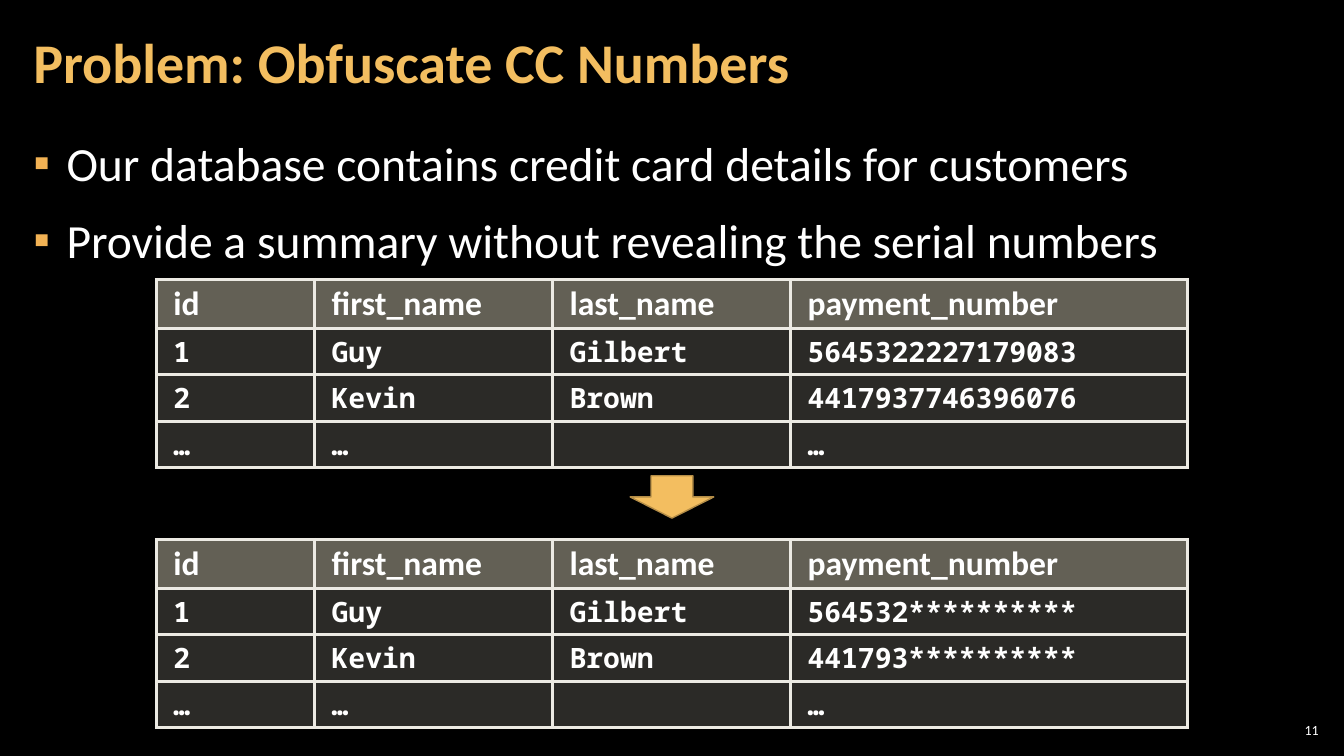
from lxml.etree import SubElement
from pptx import Presentation
from pptx.dml.color import RGBColor
from pptx.enum.shapes import MSO_SHAPE as Shape
from pptx.enum.text import MSO_ANCHOR as Anchor, MSO_AUTO_SIZE as AutoSize, PP_ALIGN as Align
from pptx.oxml.ns import qn
from pptx.util import Inches, Pt

BLACK = RGBColor(0x00, 0x00, 0x00)
WHITE = RGBColor(0xFF, 0xFF, 0xFF)
GOLD = RGBColor(0xF3, 0xBE, 0x60)
DARK_GOLD = RGBColor(0xB4, 0x8D, 0x47)
BULLET_GOLD = RGBColor(0xF2, 0xB2, 0x54)
HEADER_FILL = RGBColor(0xC6, 0xC0, 0xAA)
ROW_FILL = RGBColor(0xD9, 0xD5, 0xC7)
BORDER = RGBColor(0xEC, 0xEA, 0xE3)

FONT = "Calibri"
MONO = "Noto Sans Mono"

COLUMN_WIDTHS = [1.57, 2.36, 2.36, 3.94]
ROW_HEIGHTS = [0.48, 0.42, 0.42, 0.42]
HEADINGS = ["id", "first_name", "last_name", "payment_number"]
CUSTOMERS = [["1", "Guy", "Gilbert"], ["2", "Kevin", "Brown"]]
CARD_NUMBERS = ["5645322227179083", "4417937746396076"]
MORE_ROWS = ["…", "…", "", "…"]


def place(s, left, top, width, height):
    s.left, s.top = Inches(left), Inches(top)
    s.width, s.height = Inches(width), Inches(height)


def set_frame(tf, side, anchor):
    tf.word_wrap = True
    tf.auto_size = AutoSize.NONE
    tf.vertical_anchor = anchor
    tf.margin_left = tf.margin_right = Inches(side)
    tf.margin_top = tf.margin_bottom = Inches(0.04)


def format_runs(p, size, color=WHITE, font=FONT, bold=False):
    for r in p.runs:
        r.font.size = Pt(size)
        r.font.name = font
        r.font.bold = bold
        r.font.color.rgb = color


def add_solid_fill(parent, color):
    fill = SubElement(parent, qn("a:solidFill"))
    SubElement(fill, qn("a:srgbClr"), val=str(color))


def set_title(s, text):
    place(s, 0.21, 0.04, 10.47, 1.21)
    tf = s.text_frame
    set_frame(tf, 0.12, Anchor.MIDDLE)
    tf.text = text
    p = tf.paragraphs[0]
    p.alignment = Align.LEFT
    p.line_spacing = 0.9
    format_runs(p, 40, GOLD, bold=True)


def set_bullets(s, lines):
    place(s, 0.21, 1.26, 12.91, 6.09)
    tf = s.text_frame
    set_frame(tf, 0.12, Anchor.TOP)
    tf.text = "\n".join(lines)
    for p in tf.paragraphs:
        p.line_spacing = 1.05
        p.space_before = p.space_after = Pt(6)
        format_runs(p, 34)
        props = p._p.get_or_add_pPr()
        props.set("marL", str(Inches(0.33)))
        props.set("indent", str(-Inches(0.33)))
        color = SubElement(props, qn("a:buClr"))
        SubElement(color, qn("a:srgbClr"), val=str(BULLET_GOLD))
        SubElement(props, qn("a:buChar"), char="▪")


def set_borders(cell):
    props = cell._tc.get_or_add_tcPr()
    for side in ("a:lnL", "a:lnR", "a:lnT", "a:lnB"):
        line = SubElement(props, qn(side), w=str(Pt(2.25)))
        add_solid_fill(line, BORDER)


def set_fill(cell, color, opacity):
    """Fill the cell with a colour at the given opacity in percent."""
    cell.fill.solid()
    cell.fill.fore_color.rgb = color
    rgb = cell._tc.tcPr.find(".//" + qn("a:solidFill") + "[last()]")
    rgb = cell._tc.tcPr.findall(qn("a:solidFill"))[0][0]
    SubElement(rgb, qn("a:alpha"), val=str(opacity * 1000))


def set_cell(cell, text, is_header):
    cell.margin_left = cell.margin_right = Inches(0.17)
    cell.margin_top = cell.margin_bottom = Inches(0.05)
    set_borders(cell)
    if is_header:
        set_fill(cell, HEADER_FILL, 50)
    else:
        set_fill(cell, ROW_FILL, 20)
    if text:
        cell.text_frame.text = text
        p = cell.text_frame.paragraphs[0]
        p.line_spacing = 0.95
        before = SubElement(p._p.get_or_add_pPr(), qn("a:spcBef"))
        SubElement(before, qn("a:spcPct"), val="40000")
        size, font = (24, FONT) if is_header else (20, MONO)
        format_runs(p, size, font=font, bold=True)


def add_customer_table(slide, top, card_numbers):
    customers = [c + [number] for c, number in zip(CUSTOMERS, card_numbers)]
    rows = [HEADINGS, *customers, MORE_ROWS]
    table = slide.shapes.add_table(
        len(rows), len(HEADINGS), Inches(1.55), Inches(top),
        Inches(10.24), Inches(1.73)).table
    table.horz_banding = False
    for column, width in zip(table.columns, COLUMN_WIDTHS):
        column.width = Inches(width)
    for row, height in zip(table.rows, ROW_HEIGHTS):
        row.height = Inches(height)
    for i, texts in enumerate(rows):
        for j, text in enumerate(texts):
            set_cell(table.cell(i, j), text, i == 0)


def add_down_arrow(slide):
    s = slide.shapes.add_shape(
        Shape.DOWN_ARROW, Inches(6.25), Inches(4.72), Inches(0.83), Inches(0.42))
    s.shadow.inherit = False
    s.fill.solid()
    s.fill.fore_color.rgb = GOLD
    s.line.color.rgb = DARK_GOLD
    s.line.width = Pt(1)


def add_slide_number(slide, number):
    s = slide.shapes.add_textbox(
        Inches(12.65), Inches(7.14), Inches(0.47), Inches(0.21))
    tf = s.text_frame
    set_frame(tf, 0.04, Anchor.MIDDLE)
    tf.text = number
    p = tf.paragraphs[0]
    p.alignment = Align.RIGHT
    format_runs(p, 10)


def main():
    prs = Presentation()
    prs.slide_width, prs.slide_height = Inches(13.33), Inches(7.5)
    slide = prs.slides.add_slide(prs.slide_layouts[1])
    slide.background.fill.solid()
    slide.background.fill.fore_color.rgb = BLACK

    set_title(slide.shapes.title, "Problem: Obfuscate CC Numbers")
    set_bullets(slide.placeholders[1], [
        "Our database contains credit card details for customers",
        "Provide a summary without revealing the serial numbers",
    ])
    add_customer_table(slide, 2.77, CARD_NUMBERS)
    add_customer_table(slide, 5.35, [n[:6] + "*" * 10 for n in CARD_NUMBERS])
    add_down_arrow(slide)
    add_slide_number(slide, "11")
    prs.save("out.pptx")


if __name__ == "__main__":
    main()
